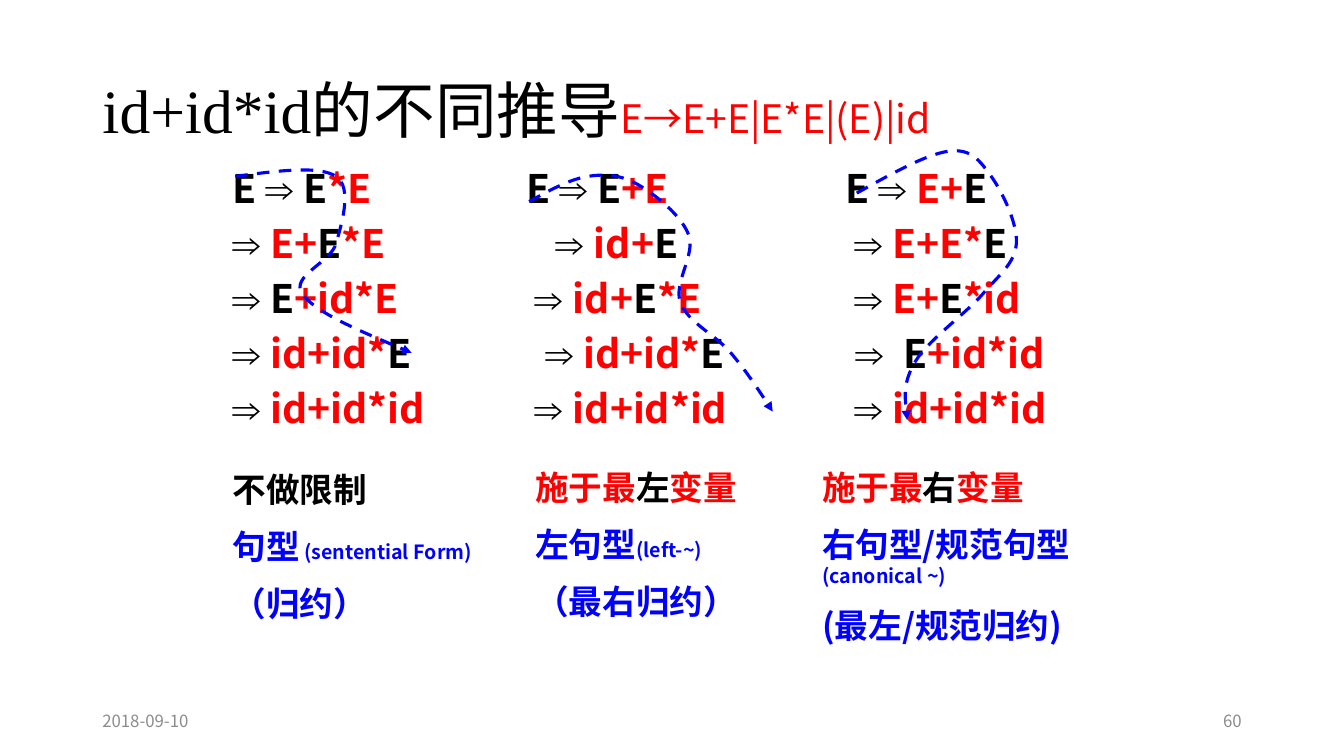
import dataclasses

import pptx
import pptx.dml.color
import pptx.enum.dml
import pptx.enum.text
import pptx.oxml
import pptx.oxml.ns
import pptx.util
from lxml import etree

RGB = pptx.dml.color.RGBColor.from_string
ANCHOR = pptx.enum.text.MSO_ANCHOR
ALIGN = pptx.enum.text.PP_ALIGN
AUTO_SIZE = pptx.enum.text.MSO_AUTO_SIZE
COLUMNS, ROWS = 160, 90  # square cells, twelve to the inch


@dataclasses.dataclass(frozen=True)
class Theme:
    sans: str = "Noto Sans CJK SC"
    serif: str = "Times New Roman"
    black: str = "000000"
    red: str = "FF0000"
    blue: str = "0000FF"
    grey: str = "8C8C8C"
    title: int = 44
    step: int = 28
    label: int = 24
    remark: int = 14
    footer: int = 12
    curve: float = 2.25


THEME = Theme()

# Each step: indent in cells, letter spacing of the arrow in points,
# red text, the black variable to expand, red text.
DERIVATIONS = [
    (59, 35, [(0, 0, "", "E", "+E"), (3.5, 0, "id+", "E", ""), (1, 0, "id+", "E", "*E"),
              (2.25, 0, "id+id*", "E", ""), (1, 0, "id+id*id", "", "")]),
    (97, 38, [(0, 0, "E+", "E", ""), (1, 0, "E+E*", "E", ""), (1, 0, "E+", "E", "*id"),
              (1.15, 3.5, "", "E", "+id*id"), (1, 0, "id+id*id", "", "")]),
    (24, 39, [(0, 0, "", "E", "*E"), (0, 0, "E+", "E", "*E"), (0, 0, "", "E", "+id*E"),
              (0, 0, "id+id*", "E", ""), (0, 0, "id+id*id", "", "")]),
]

BLACK = dict(size=THEME.label, color=THEME.black, bold=True)
RED = dict(BLACK, color=THEME.red)
BLUE = dict(BLACK, color=THEME.blue)
REMARK = dict(BLUE, size=THEME.remark)
LABELS = [
    (24, 55.2, 38, [[("不做限制", BLACK)],
                    [("句型", BLUE), (" (sentential Form)", REMARK)],
                    [("（归约）", BLUE)]]),
    (94.2, 55, 45.8, [[("施于最", RED), ("右", BLACK), ("变量", RED)],
                      [("右句型/规范句型\t ", BLUE), ("(canonical ~)", REMARK)],
                      [("(最左/规范归约)", BLUE)]]),
    (60.05, 55, 38, [[("施于最", RED), ("左", BLACK), ("变量", RED)],
                     [("左句型", BLUE), ("(left-~)", REMARK)],
                     [("（最右归约）", BLUE)]]),
]

# Cells that the curve through the expanded variables visits.
TRAILS = [
    [(28, 21), (40, 21), (40, 29), (36, 35), (49, 42)],
    [(63, 24), (70, 21), (76, 22), (82, 28), (81, 36), (87, 42), (92, 49)],
    [(102, 23), (113, 18), (118, 21), (121, 29), (117, 35), (109, 43), (108, 50)],
]


def set_values(target, values):
    for name, value in values.items():
        setattr(target, name, value)


def middle(first, second):
    return tuple((a + b) / 2 for a, b in zip(first, second))


def curve_points(nodes):
    """Put two control points between nodes; tangents are parallel to the neighbours."""
    inward, outward = {}, {}
    for index in range(1, len(nodes) - 1):
        before, node, after = nodes[index - 1:index + 2]
        tangent = [(b - a) / 6 for a, b in zip(before, after)]
        inward[index] = tuple(n - t for n, t in zip(node, tangent))
        outward[index] = tuple(n + t for n, t in zip(node, tangent))
    last = len(nodes) - 1
    outward[0] = middle(nodes[0], inward[1])
    inward[last] = middle(outward[last - 1], nodes[last])
    points = [nodes[0]]
    for index in range(last):
        points += [outward[index], inward[index + 1], nodes[index + 1]]
    return points


class SlideBuilder:
    def __init__(self, presentation, theme):
        self.theme = theme
        self.cell = presentation.slide_width / COLUMNS
        self.slide = presentation.slides.add_slide(presentation.slide_layouts[5])

    def length(self, cells):
        return pptx.util.Emu(round(cells * self.cell))

    def place(self, shape, left, top, width, height):
        set_values(shape, dict(left=self.length(left), top=self.length(top),
                               width=self.length(width), height=self.length(height)))

    def runs(self, paragraph, runs):
        for text, values in runs:
            run = paragraph.add_run()
            run.text = text
            name = values.get("name", self.theme.sans)
            set_values(run.font, dict(name=name, size=pptx.util.Pt(values["size"]),
                                      bold=values.get("bold", False)))
            run.font.color.rgb = RGB(values["color"])
            if values.get("spacing"):
                run.font._element.set("spc", str(round(values["spacing"] * 100)))
            east_asian = etree.SubElement(run.font._element, pptx.oxml.ns.qn("a:ea"))
            east_asian.set("typeface", values.get("east_asian", name))

    def title(self, box, runs):
        shape = self.slide.shapes.title
        self.place(shape, *box)
        set_values(shape.text_frame, dict(vertical_anchor=ANCHOR.MIDDLE, word_wrap=True,
                                          auto_size=AUTO_SIZE.NONE))
        paragraph = shape.text_frame.paragraphs[0]
        set_values(paragraph, dict(alignment=ALIGN.LEFT, line_spacing=0.9))
        self.runs(paragraph, runs)

    def text(self, box, lines, indents=None, anchor=ANCHOR.TOP, **paragraph_format):
        shape = self.slide.shapes.add_textbox(0, 0, 0, 0)
        self.place(shape, *box)
        frame = shape.text_frame
        set_values(frame, dict(word_wrap=True, vertical_anchor=anchor))
        for index, runs in enumerate(lines):
            paragraph = frame.add_paragraph() if index else frame.paragraphs[0]
            set_values(paragraph, paragraph_format)
            if indents:
                paragraph._p.get_or_add_pPr().set("marL", str(self.length(indents[index])))
            self.runs(paragraph, runs)

    def derivation(self, left, width, steps):
        black = dict(BLACK, size=self.theme.step)
        red = dict(RED, size=self.theme.step)
        lines = []
        for index, (_, spacing, before, variable, after) in enumerate(steps):
            arrow = dict(black, name=self.theme.serif, spacing=spacing)
            start = [] if index else [("E ", black)]
            parts = [("⇒ ", arrow), (before, red), (variable, black), (after, red)]
            lines.append(start + [part for part in parts if part[0]])
        self.text((left, 19, width, 33.7), lines, [2.5 + step[0] for step in steps],
                  space_before=pptx.util.Pt(5.6))

    def trail(self, nodes):
        points = [tuple(self.length(value) for value in point) for point in curve_points(nodes)]
        builder = self.slide.shapes.build_freeform(*points[0], scale=1.0)
        builder.add_line_segments(points[1:], close=False)
        shape = builder.convert_to_shape()
        qn = pptx.oxml.ns.qn
        segments = list(shape._element.iter(qn("a:lnTo")))
        for first in range(0, len(segments), 3):
            curve = etree.SubElement(segments[first].getparent(), qn("a:cubicBezTo"))
            for segment in segments[first:first + 3]:
                curve.append(segment[0])
                segment.getparent().remove(segment)
        shape.shadow.inherit = False
        shape.fill.background()
        shape.line.color.rgb = RGB(self.theme.blue)
        set_values(shape.line, dict(width=pptx.util.Pt(self.theme.curve),
                                    dash_style=pptx.enum.dml.MSO_LINE.DASH))
        tail = etree.SubElement(shape.line._get_or_add_ln(), qn("a:tailEnd"))
        tail.set("type", "triangle")


def main():
    presentation = pptx.Presentation()
    set_values(presentation, dict(slide_width=pptx.util.Inches(COLUMNS / 12),
                                  slide_height=pptx.util.Inches(ROWS / 12)))
    builder = SlideBuilder(presentation, THEME)
    builder.title((11, 4.8, 138, 17.4), [
        ("id+id*id的不同推导", dict(size=THEME.title, color=THEME.black,
                               name=THEME.serif, east_asian=THEME.sans)),
        ("E→E+E|E*E|(E)|id", dict(size=THEME.step, color=THEME.red))])
    footer = dict(size=THEME.footer, color=THEME.grey)
    for left, text, alignment in [(11, "2018-09-10", ALIGN.LEFT), (113, "60", ALIGN.RIGHT)]:
        builder.text((left, 83.4, 36, 4.8), [[(text, footer)]],
                     anchor=ANCHOR.MIDDLE, alignment=alignment)
    for left, width, steps in DERIVATIONS:
        builder.derivation(left, width, steps)
    for left, top, width, lines in LABELS:
        builder.text((left, top, width, 20.6), lines, [2.5] * len(lines),
                     space_before=pptx.util.Pt(12))
    for nodes in TRAILS:
        builder.trail(nodes)
    presentation.save("out.pptx")


if __name__ == "__main__":
    main()
